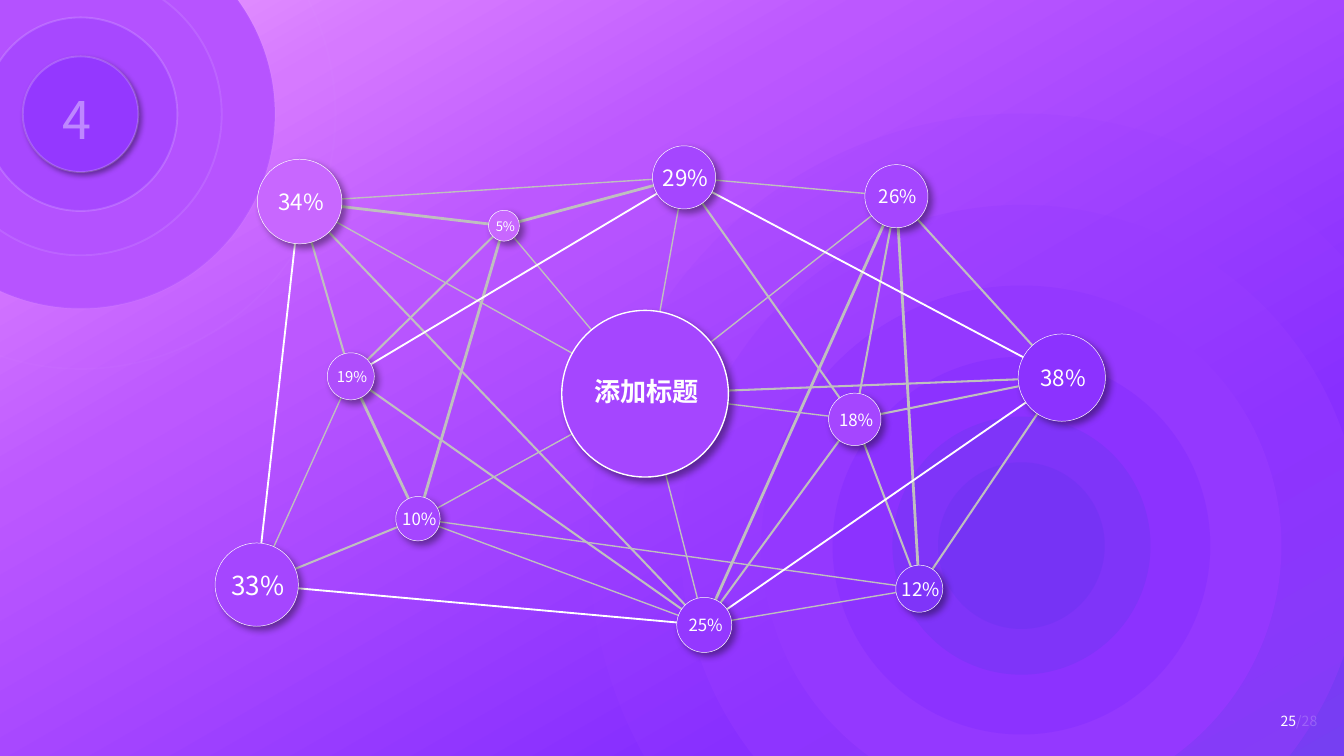
from lxml import etree
from pptx import Presentation
from pptx.dml.color import RGBColor
from pptx.enum.shapes import MSO_CONNECTOR, MSO_SHAPE
from pptx.enum.text import MSO_ANCHOR, PP_ALIGN
from pptx.oxml.ns import qn
from pptx.util import Inches, Pt

ELLIPSE, RECTANGLE = MSO_SHAPE.OVAL, MSO_SHAPE.RECTANGLE
STRAIGHT = MSO_CONNECTOR.STRAIGHT
LEFT, CENTER = PP_ALIGN.LEFT, PP_ALIGN.CENTER
MIDDLE = MSO_ANCHOR.MIDDLE

FONT = "Noto Sans CJK SC"
WHITE = RGBColor(0xFF, 0xFF, 0xFF)
GRAY = RGBColor(0xBF, 0xBF, 0xBF)
ORCHID = RGBColor(0xC8, 0x67, 0xFF)
LAVENDER = RGBColor(0xB7, 0x54, 0xFF)
MAUVE = RGBColor(0xB4, 0x52, 0xFF)
LILAC = RGBColor(0xAF, 0x4E, 0xFC)
AMETHYST = RGBColor(0xA7, 0x48, 0xFF)
PURPLE = RGBColor(0xA5, 0x46, 0xFF)
PLUM = RGBColor(0x9C, 0x3F, 0xFF)
IRIS = RGBColor(0x99, 0x3C, 0xFF)
VIOLET = RGBColor(0x94, 0x38, 0xFF)
GRAPE = RGBColor(0x8C, 0x32, 0xFF)
ELECTRIC = RGBColor(0x87, 0x2E, 0xFF)
INDIGO = RGBColor(0x7F, 0x34, 0xF9)
DEEP = RGBColor(0x77, 0x36, 0xF6)
MIDNIGHT = RGBColor(0x69, 0x33, 0xF1)
GRADIENT = [(0, "ECA3FF"), (16, "D679FF"), (33, "BC58FF"), (77, "832BFF"), (100, "6D3FEF")]

# Rings: diameter, fill, fill opacity, outline opacity
BADGE_CENTER = (0.6, 0.85)
BADGE_RINGS = [(2.89, LAVENDER, 100, 4), (2.1, MAUVE, 100, 9),
               (1.44, AMETHYST, 100, 16), (0.86, VIOLET, 100, 18),
               (3.79, None, 100, 2)]
GLOW_CENTER = (7.6, 4.06)
GLOW_RINGS = [(6.43, PLUM, 20), (5.07, IRIS, 40), (3.87, VIOLET, 100),
              (2.81, ELECTRIC, 60), (1.92, DEEP, 60), (1.24, MIDNIGHT, 40)]

# Nodes: label -> centre x, centre y, diameter, fill, text size
HUB = "添加标题"
NODES = {
    "38%": (7.9, 2.81, 0.65, GRAPE, 12),
    "29%": (5.09, 1.32, 0.47, PURPLE, 12),
    "33%": (1.91, 4.35, 0.62, PURPLE, 14),
    "25%": (5.24, 4.65, 0.41, VIOLET, 9),
    HUB: (4.8, 2.93, 1.24, PURPLE, 14),
    "34%": (2.23, 1.5, 0.63, ORCHID, 12),
    "26%": (6.67, 1.46, 0.47, PURPLE, 10),
    "18%": (6.36, 3.12, 0.39, PURPLE, 9),
    "5%": (3.75, 1.68, 0.23, ORCHID, 7),
    "19%": (2.61, 2.8, 0.35, LILAC, 8),
    "12%": (6.84, 4.38, 0.35, INDIGO, 10),
    "10%": (3.11, 3.86, 0.33, PURPLE, 9),
}

# Links by line style: colour, width -> pairs of nodes
LINKS = [
    (GRAY, 0.75, [("34%", HUB), ("10%", HUB), ("19%", "33%"), ("10%", "25%"),
                  ("25%", "12%"), ("25%", HUB), (HUB, "18%"), ("34%", "29%"),
                  ("5%", HUB), (HUB, "29%"), ("29%", "26%"), (HUB, "26%"),
                  ("10%", "12%")]),
    (GRAY, 1.1, [("34%", "19%"), ("5%", "19%"), ("33%", "10%"), ("18%", "12%"),
                 ("25%", "18%"), ("18%", "38%"), ("12%", "38%"), ("18%", "26%"),
                 ("26%", "38%"), ("29%", "18%"), ("34%", "25%"), ("19%", "25%"),
                 (HUB, "38%")]),
    (GRAY, 1.5, [("34%", "5%"), ("19%", "10%"), ("5%", "10%"), ("5%", "29%"),
                 ("26%", "12%"), ("26%", "25%")]),
    (WHITE, 1, [("33%", "25%"), ("25%", "38%"), ("34%", "33%"), ("29%", "19%"),
                ("29%", "38%")]),
]


def set_alpha(parent, percent):
    for color in parent.iter(qn("a:srgbClr")):
        etree.SubElement(color, qn("a:alpha"), val=str(percent * 1000))


def add_run(paragraph, text, size=12, color=WHITE, bold=False, alpha=100):
    run = paragraph.add_run()
    run.text = text
    run.font.name = FONT
    run.font.size = Pt(size)
    run.font.bold = bold
    run.font.color.rgb = color
    properties = run.font._element
    if alpha < 100:
        set_alpha(properties, alpha)
    etree.SubElement(properties, qn("a:ea"), typeface=FONT)


class SlideBuilder:
    def __init__(self, slide):
        self.slide = slide

    def backdrop(self, width, height):
        shape = self.slide.shapes.add_shape(RECTANGLE, 0, 0, width, height)
        shape.shadow.inherit = False
        shape.line.fill.background()
        shape.fill.gradient()
        gradient = shape._element.spPr.find(qn("a:gradFill"))
        stops = gradient.find(qn("a:gsLst"))
        for stop in list(stops):
            stops.remove(stop)
        for position, color in GRADIENT:
            stop = etree.SubElement(stops, qn("a:gs"), pos=str(position * 1000))
            etree.SubElement(stop, qn("a:srgbClr"), val=color)
        gradient.find(qn("a:lin")).set("ang", str(60 * 60000))

    def circle(self, x, y, diameter, fill, alpha=100, line_width=0, line_alpha=100, shadow=None):
        shape = self.slide.shapes.add_shape(
            ELLIPSE, Inches(x - diameter / 2), Inches(y - diameter / 2),
            Inches(diameter), Inches(diameter))
        shape.shadow.inherit = False
        if fill is None:
            shape.fill.background()
        else:
            shape.fill.solid()
            shape.fill.fore_color.rgb = fill
            if alpha < 100:
                set_alpha(shape._element.spPr, alpha)
        if line_width:
            shape.line.color.rgb = WHITE
            shape.line.width = Pt(line_width)
            if line_alpha < 100:
                set_alpha(shape._element.spPr.find(qn("a:ln")), line_alpha)
        else:
            shape.line.fill.background()
        if shadow:
            blur, distance = shadow
            effects = shape._element.spPr.find(qn("a:effectLst"))
            outer = etree.SubElement(
                effects, qn("a:outerShdw"), blurRad=str(Pt(blur)), dist=str(Pt(distance)),
                dir=str(45 * 60000), algn="tl", rotWithShape="0")
            etree.SubElement(outer, qn("a:srgbClr"), val="000000")
            set_alpha(outer, 40)

    def link(self, start, end, color, width):
        points = [Inches(value) for value in (*start, *end)]
        connector = self.slide.shapes.add_connector(STRAIGHT, *points)
        connector.line.color.rgb = color
        connector.line.width = Pt(width)
        etree.SubElement(connector._element.spPr, qn("a:effectLst"))

    def text(self, left, top, width, height, runs, align=CENTER, inset=0):
        box = self.slide.shapes.add_textbox(
            Inches(left), Inches(top), Inches(width), Inches(height))
        frame = box.text_frame
        frame.word_wrap = True
        frame.vertical_anchor = MIDDLE
        frame.margin_left = Inches(inset)
        frame.margin_right = frame.margin_top = frame.margin_bottom = 0
        paragraph = frame.paragraphs[0]
        paragraph.alignment = align
        for content, style in runs:
            add_run(paragraph, content, **style)

    def node(self, label, x, y, diameter, fill, size):
        is_hub = label == HUB
        self.circle(x, y, diameter, fill, line_width=0.75 if is_hub else 0.25, shadow=(4, 3))
        width = 1.33 if is_hub else 0.65
        height = size / 48 + 0.05
        top = y - height / 2 - (0.02 if is_hub else 0)
        self.text(x + 0.01 - width / 2, top, width, height,
                  [(label, {"size": size, "bold": is_hub})])


def main():
    presentation = Presentation()
    presentation.slide_width = Inches(10)
    presentation.slide_height = Inches(10 * 9 / 16)
    builder = SlideBuilder(presentation.slides.add_slide(presentation.slide_layouts[6]))

    # Background and section badge
    builder.backdrop(presentation.slide_width, presentation.slide_height)
    for diameter, fill, alpha, line_alpha in BADGE_RINGS:
        builder.circle(*BADGE_CENTER, diameter, fill, alpha, 1, line_alpha,
                       shadow=(3, 2) if fill == VIOLET else None)
    builder.text(0.37, 0.6, 0.4, 0.57, [("4", {"size": 28, "alpha": 40})], LEFT, 0.1)

    # Concentric glow
    for diameter, fill, alpha in GLOW_RINGS:
        builder.circle(*GLOW_CENTER, diameter, fill, alpha)

    # Network: links behind nodes
    for color, width, pairs in LINKS:
        for start, end in pairs:
            builder.link(NODES[start][:2], NODES[end][:2], color, width)
    for label, values in NODES.items():
        builder.node(label, *values)

    # Page number
    builder.text(9.43, 5.25, 0.54, 0.23,
                 [("25", {"size": 7.5}), ("/28", {"size": 7.5, "alpha": 20})], LEFT, 0.1)

    presentation.save("out.pptx")


if __name__ == "__main__":
    main()
